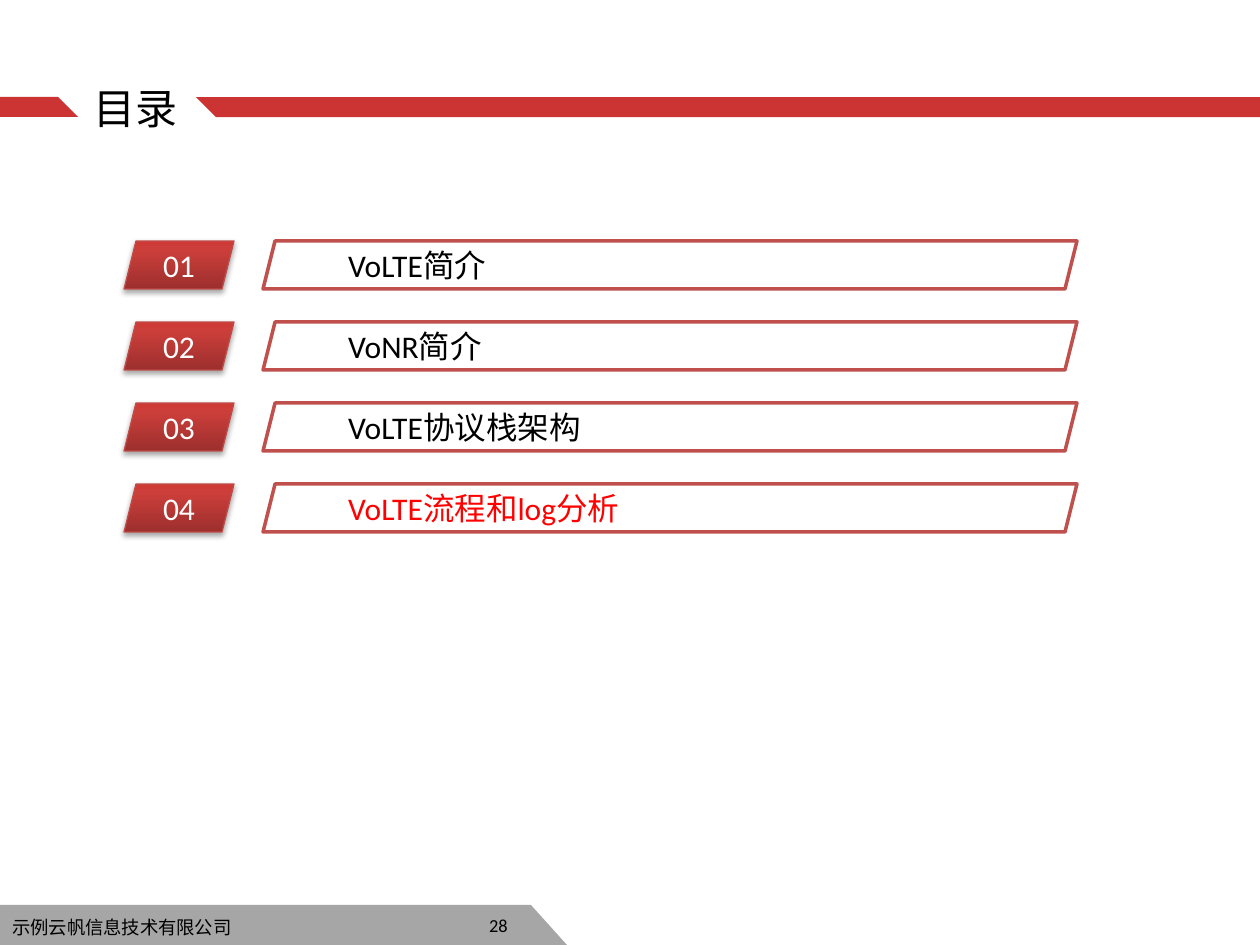
"""Build the agenda slide with four numbered entries."""
from copy import deepcopy
from dataclasses import dataclass

from lxml import etree
from pptx import Presentation
from pptx.dml.color import RGBColor
from pptx.enum.shapes import MSO_SHAPE
from pptx.enum.text import MSO_ANCHOR, MSO_AUTO_SIZE, PP_ALIGN
from pptx.oxml.ns import qn
from pptx.util import Emu, Pt

RECTANGLE = MSO_SHAPE.RECTANGLE
TRIANGLE = MSO_SHAPE.RIGHT_TRIANGLE
PARALLELOGRAM = MSO_SHAPE.PARALLELOGRAM
LEFT, CENTER, RIGHT = PP_ALIGN.LEFT, PP_ALIGN.CENTER, PP_ALIGN.RIGHT
TOP, MIDDLE = MSO_ANCHOR.TOP, MSO_ANCHOR.MIDDLE

EMU_PER_PX = 914400 / 126
LATIN_FONT = "Calibri"
CHINESE_FONT = "Noto Sans CJK SC"
TITLE_ONLY_LAYOUT = 5
COLORS = {
    "band": "CC3333",
    "footer": "A6A6A6",
    "text": "000000",
    "highlight": "FF0000",
    "white": "FFFFFF",
    "entry_line": "C0504D",
    "badge_line": "BF4C48",
    "shadow": "000000",
}
BADGE_GRADIENT = ((0, "9C2F2D"), (0.8, "CB3E3A"), (1, "CE3B37"))
BADGE_SHADOW = {"blurRad": "40000", "dist": "23000", "dir": "5400000", "rotWithShape": "0"}


@dataclass(frozen=True)
class Box:
    left: int
    top: int
    width: int
    height: int


@dataclass(frozen=True)
class Decoration:
    kind: int
    box: Box
    color: str
    rotation: int = 0


@dataclass(frozen=True)
class Entry:
    text: str
    color: str = "text"


DECORATIONS = (
    Decoration(RECTANGLE, Box(-1, 905, 532, 40), "footer"),
    Decoration(TRIANGLE, Box(531, 905, 36, 40), "footer"),
    Decoration(RECTANGLE, Box(-1, 97, 59, 20), "band"),
    Decoration(TRIANGLE, Box(58, 97, 20, 20), "band"),
    Decoration(RECTANGLE, Box(216, 97, 1044, 20), "band", 180),
    Decoration(TRIANGLE, Box(196, 97, 20, 20), "band", 180),
)
ENTRIES = (
    Entry("VoLTE简介"),
    Entry("VoNR简介"),
    Entry("VoLTE协议栈架构"),
    Entry("VoLTE流程和log分析", "highlight"),
)
FIRST_ENTRY_TOP = 241
ENTRY_PITCH = 81
ENTRY_HEIGHT = 48


def px(value: int) -> Emu:
    return Emu(round(value * EMU_PER_PX))


def rgb(name: str) -> RGBColor:
    return RGBColor.from_string(COLORS[name])


def place(box: Box) -> tuple:
    return px(box.left), px(box.top), px(box.width), px(box.height)


def write(shape, text: str, size: float, color: str = "text", align=LEFT,
          anchor=MIDDLE, font: str = LATIN_FONT) -> None:
    frame = shape.text_frame
    frame_format = {"word_wrap": True, "auto_size": MSO_AUTO_SIZE.NONE, "vertical_anchor": anchor}
    for name, value in frame_format.items():
        setattr(frame, name, value)
    paragraph = frame.paragraphs[0]
    paragraph.alignment = align
    run = paragraph.add_run()
    run.text = text
    for name, value in {"size": Pt(size), "name": font}.items():
        setattr(run.font, name, value)
    run.font.color.rgb = rgb(color)
    etree.SubElement(run.font._element, qn("a:ea"), typeface=CHINESE_FONT)


def add_plain_shape(slide, kind: int, box: Box, color: str):
    shape = slide.shapes.add_shape(kind, *place(box))
    shape.shadow.inherit = False
    shape.fill.solid()
    shape.fill.fore_color.rgb = rgb(color)
    shape.line.fill.background()
    return shape


def add_outline(shape, color: str, width: float) -> None:
    shape.line.color.rgb = rgb(color)
    shape.line.width = Pt(width)


def add_badge_effects(shape) -> None:
    shape.fill.gradient()
    shape.fill.gradient_angle = 90
    properties = shape._element.spPr
    stop_list = properties.find(qn("a:gradFill")).find(qn("a:gsLst"))
    stop_list.append(deepcopy(stop_list[0]))
    for stop, (position, color) in zip(shape.fill.gradient_stops, BADGE_GRADIENT):
        stop.position = position
        stop.color.rgb = RGBColor.from_string(color)
    effects = properties.find(qn("a:effectLst"))
    shadow = etree.SubElement(effects, qn("a:outerShdw"), BADGE_SHADOW)
    color_element = etree.SubElement(shadow, qn("a:srgbClr"), val=COLORS["shadow"])
    etree.SubElement(color_element, qn("a:alpha"), val="35000")


def add_entry(slide, index: int, entry: Entry) -> None:
    top = FIRST_ENTRY_TOP + index * ENTRY_PITCH
    bar = add_plain_shape(slide, PARALLELOGRAM, Box(263, top, 814, ENTRY_HEIGHT), "white")
    add_outline(bar, "entry_line", 2)
    write(bar, entry.text, 18, entry.color)
    badge = add_plain_shape(slide, PARALLELOGRAM, Box(124, top, 110, ENTRY_HEIGHT), "band")
    add_badge_effects(badge)
    add_outline(badge, "badge_line", 0.75)
    write(badge, f"{index + 1:02d}", 18, "white", CENTER)


def main() -> None:
    presentation = Presentation()
    presentation.slide_width, presentation.slide_height = px(1260), px(945)
    slide = presentation.slides.add_slide(presentation.slide_layouts[TITLE_ONLY_LAYOUT])

    for decoration in DECORATIONS:
        shape = add_plain_shape(slide, decoration.kind, decoration.box, decoration.color)
        shape.rotation = decoration.rotation

    title = slide.shapes.title
    title.left, title.top, title.width, title.height = place(Box(81, 76, 189, 63))
    write(title, "目录", 24, anchor=TOP, font=CHINESE_FONT)

    company = slide.shapes.add_textbox(*place(Box(0, 910, 520, 35)))
    write(company, "示例云帆信息技术有限公司", 10.5, anchor=TOP, font=CHINESE_FONT)
    page_number = slide.shapes.add_textbox(*place(Box(227, 900, 293, 50)))
    write(page_number, "28", 10.5, align=RIGHT)

    for index, entry in enumerate(ENTRIES):
        add_entry(slide, index, entry)

    presentation.save("out.pptx")


if __name__ == "__main__":
    main()
